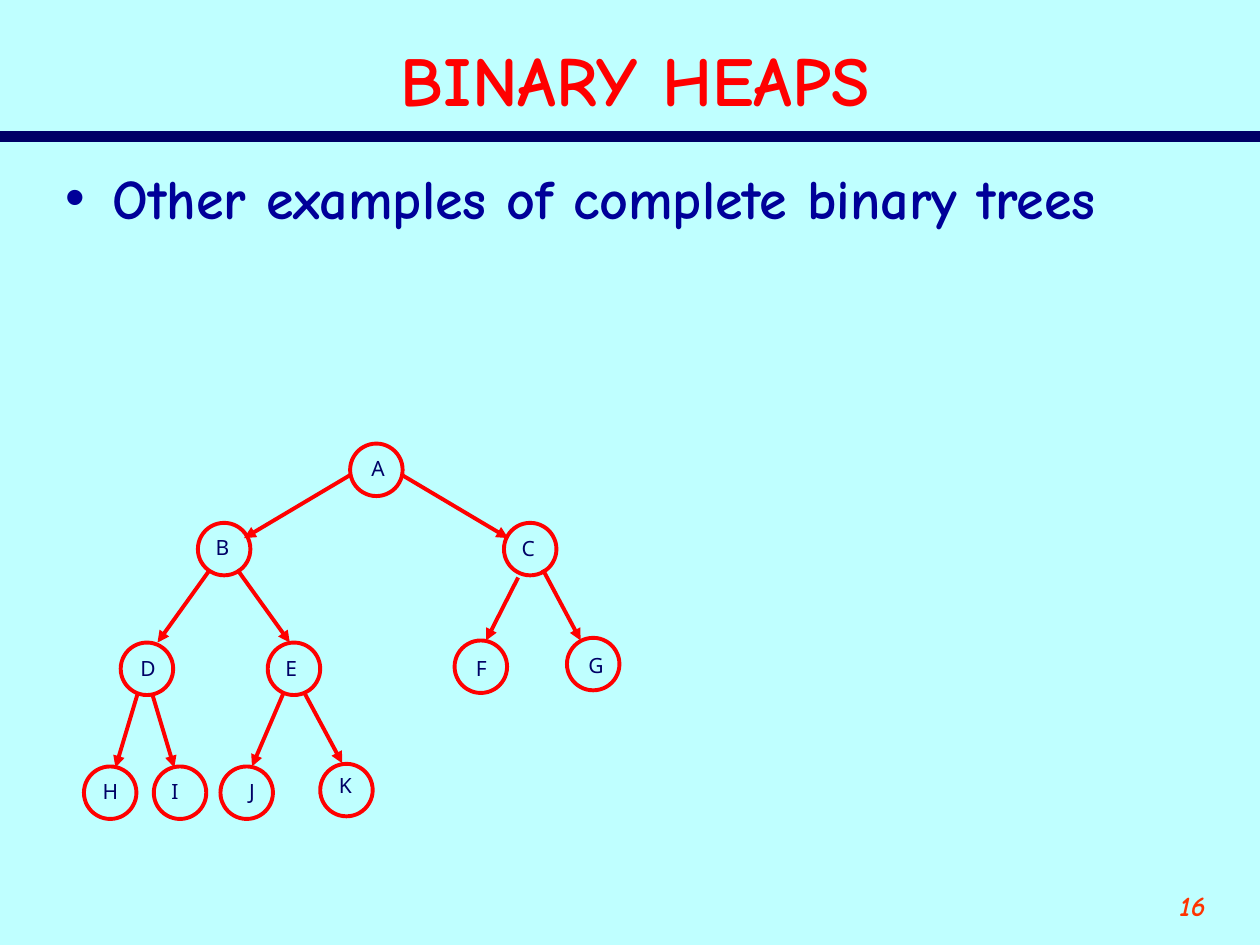
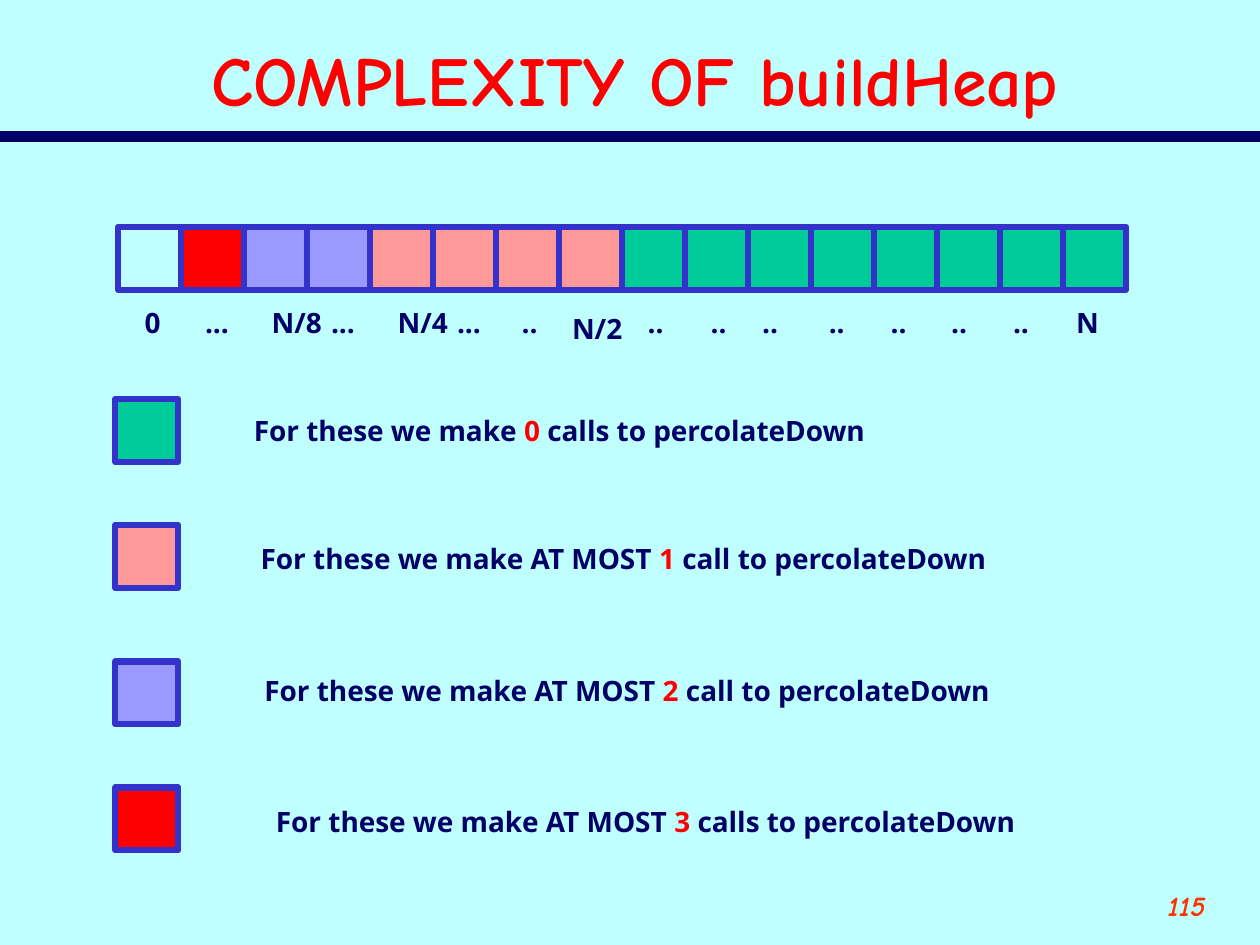
from lxml import etree
from pptx import Presentation
from pptx import util as u
from pptx.dml.color import RGBColor
from pptx.enum import shapes, text
from pptx.oxml import ns

COLUMNS, ROWS = 120, 90  # grid squares of a twelfth of an inch

# Shared colours and fonts
PALE, NAVY, BLUE, RED, ORANGE = "BFFFFF", "000066", "000099", "FF0000", "FF3300"
BORDER, GREEN, PINK, LILAC = "3333CC", "00CC99", "FF9999", "9999FF"
DISPLAY, PLAIN = "Comic Neue", "Noto Sans"

# Tree: circle position, then the label's shift inside the circle
NODE_SIZE = 5
NODES = {
    "A": (33.35, 42.25, 0.85, 0.5),
    "B": (18.85, 49.8, 0.5, 0.5), "C": (48, 49.8, 0.5, 0.6),
    "D": (11.5, 61.2, 0.7, 0.6), "E": (25.5, 61.2, 0.5, 0.6),
    "F": (43.3, 61, 0.85, 0.85), "G": (54, 60.75, 0.85, 0.85),
    "H": (8, 73, 0.6, 0.6), "I": (14.65, 73, 0.5, 0.6),
    "J": (21, 73, 1.55, 0.6), "K": (30.5, 72.75, 0.6, 0.25),
}
EDGES = {
    "AB": (33.35, 45.25, 23.25, 51.25), "AC": (38.3, 45.25, 48.4, 51.25),
    "BD": (20, 54.25, 15, 61.2), "BE": (22.6, 54.25, 27.6, 61.2),
    "CF": (49.35, 55, 46.3, 61), "CG": (51.7, 54.25, 55.3, 61),
    "DH": (13.1, 66.1, 11, 73.1), "DI": (14.5, 66.1, 16.6, 73.1),
    "EJ": (27, 66, 24, 73), "EK": (29, 66, 32.6, 72.7),
}

# Heap array: cell fills, and each index label with its left column
CELL_SIZE = 6
CELL_FILLS = [None, RED] + [LILAC] * 2 + [PINK] * 4 + [GREEN] * 8
INDEX_LABELS = [
    ("0", 12.6), ("...", 18.35), ("N/8", 24.7), ("...", 30.35),
    ("N/4", 36.7), ("...", 42.35), ("..", 48.5), ("N/2", 53.3),
    ("..", 60.5), ("..", 66.5), ("..", 71.4), ("..", 77.75),
    ("..", 83.65), ("..", 89.4), ("..", 95.3), ("N", 101.3),
]
# Legend: fill, row of the square, text position, words around the count
LEGEND = [
    (GREEN, 38, 23, 38.8, "", "0", "calls"),
    (PINK, 50, 23.65, 51, "AT MOST ", "1", "call"),
    (LILAC, 63, 24, 63.6, "AT MOST ", "2", "call"),
    (RED, 75, 25.1, 76, "AT MOST ", "3", "calls"),
]


def color(value):
    return RGBColor.from_string(value)


class Deck:
    """Holds the style, the grid and the current slide."""

    def __init__(self):
        self.presentation = Presentation()
        self.presentation.slide_width = u.Inches(10)
        self.presentation.slide_height = u.Inches(7.5)
        fill = self.presentation.slide_master.background.fill
        fill.solid()
        fill.fore_color.rgb = color(PALE)
        self.slide = None

    def x(self, columns):
        return round(self.presentation.slide_width * columns / COLUMNS)

    def y(self, rows):
        return round(self.presentation.slide_height * rows / ROWS)

    def box(self, left, top, width, height):
        return self.x(left), self.y(top), self.x(width), self.y(height)

    def style(self, paragraph, size, value, name=PLAIN, bold=True, italic=False):
        font = paragraph.font
        font.size, font.name = u.Pt(size), name
        font.bold, font.italic = bold, italic
        font.color.rgb = color(value)

    def new_slide(self, title, number, layout):
        layouts = self.presentation.slide_layouts
        self.slide = self.presentation.slides.add_slide(layouts.get_by_name(layout))
        self.line(0, 13, COLUMNS, 13, NAVY, 6)
        paragraph = self.text(number, 104, 84, 12, 6, 16, ORANGE, DISPLAY, italic=True)
        paragraph.alignment = text.PP_ALIGN.RIGHT
        paragraph = self.placeholder(0, title, 5, 3, 111, 9, text.MSO_ANCHOR.MIDDLE)
        paragraph.alignment = text.PP_ALIGN.CENTER
        self.style(paragraph, 40, RED, DISPLAY)

    def placeholder(self, index, words, left, top, width, height, anchor):
        shape = self.slide.placeholders[index]
        shape.left, shape.top, shape.width, shape.height = self.box(left, top, width, height)
        frame = shape.text_frame
        frame.text = words
        frame.auto_size = text.MSO_AUTO_SIZE.NONE
        frame.vertical_anchor = anchor
        return frame.paragraphs[0]

    def bullet(self, words):
        paragraph = self.placeholder(1, words, 5, 15, 111, 29, text.MSO_ANCHOR.TOP)
        properties = paragraph._p.get_or_add_pPr()
        properties.set("marL", str(self.x(4.5)))
        properties.set("indent", str(-self.x(4.5)))
        tint = etree.SubElement(properties, ns.qn("a:buClr"))
        etree.SubElement(tint, ns.qn("a:srgbClr"), val=BLUE)
        etree.SubElement(properties, ns.qn("a:buChar"), char="•")
        paragraph.space_before = u.Pt(0)
        self.style(paragraph, 32, BLUE, DISPLAY)

    def text(self, words, left, top, width, height, size, value=NAVY,
             name=PLAIN, bold=True, italic=False):
        shape = self.slide.shapes.add_textbox(*self.box(left, top, width, height))
        shape.text_frame.word_wrap = True
        paragraph = shape.text_frame.paragraphs[0]
        if words:
            paragraph.add_run().text = words
        self.style(paragraph, size, value, name, bold, italic)
        return paragraph

    def shape(self, kind, left, top, size, fill, border, weight):
        shape = self.slide.shapes.add_shape(kind, *self.box(left, top, size, size))
        shape.shadow.inherit = False
        if fill:
            shape.fill.solid()
            shape.fill.fore_color.rgb = color(fill)
        else:
            shape.fill.background()
        shape.line.color.rgb = color(border)
        shape.line.width = u.Pt(weight)

    def line(self, x1, y1, x2, y2, value, weight, arrow=False):
        line = self.slide.shapes.add_connector(
            shapes.MSO_CONNECTOR.STRAIGHT, self.x(x1), self.y(y1), self.x(x2), self.y(y2))
        line.line.color.rgb = color(value)
        line.line.width = u.Pt(weight)
        properties = line._element.spPr
        if arrow:
            outline = properties.find(ns.qn("a:ln"))
            etree.SubElement(outline, ns.qn("a:tailEnd"), type="triangle")
        etree.SubElement(properties, ns.qn("a:effectLst"))

    def node(self, letter, left, top, shift_x, shift_y):
        self.shape(shapes.MSO_SHAPE.OVAL, left, top, NODE_SIZE, None, RED, 2.25)
        self.text(letter, left + shift_x, top + shift_y, 5, 3.6, 12, bold=False)

    def cell(self, left, top, fill):
        self.shape(shapes.MSO_SHAPE.RECTANGLE, left, top, CELL_SIZE, fill, BORDER, 3.5)


def tree_slide(deck):
    deck.new_slide("BINARY HEAPS", "16", "Title and Content")
    deck.bullet("Other examples of complete binary trees")
    for ends in EDGES.values():
        deck.line(*ends, RED, 2.25, arrow=True)
    for letter, place in NODES.items():
        deck.node(letter, *place)


def complexity_slide(deck):
    deck.new_slide("COMPLEXITY OF buildHeap", "115", "Title Only")
    # Array with its index labels
    for index, fill in enumerate(CELL_FILLS):
        deck.cell(11.25 + index * CELL_SIZE, 21.6, fill)
    for label, left in INDEX_LABELS:
        top = 29.05 if label == "N/2" else 28.55
        deck.text(label, left, top, 8, 4.4, 16)
    # Legend
    for fill, row, left, top, limit, count, noun in LEGEND:
        deck.cell(11, row, fill)
        paragraph = deck.text(f"For these we make {limit}", left, top, 78, 4.4, 16)
        number = paragraph.add_run()
        number.text = count
        number.font.color.rgb = color(RED)
        paragraph.add_run().text = f" {noun} to percolateDown"


def main():
    deck = Deck()
    tree_slide(deck)
    complexity_slide(deck)
    deck.presentation.save("out.pptx")


if __name__ == "__main__":
    main()
